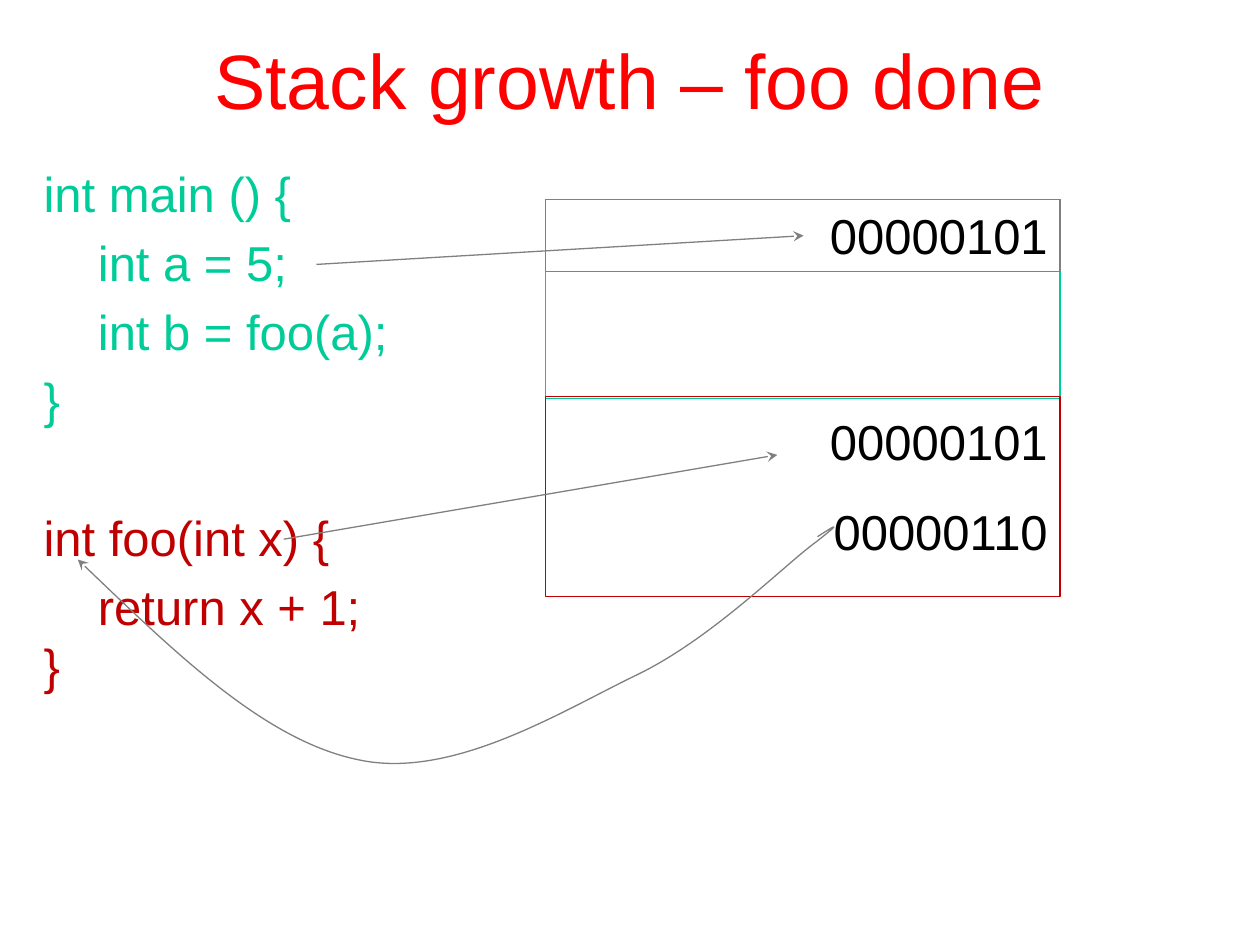
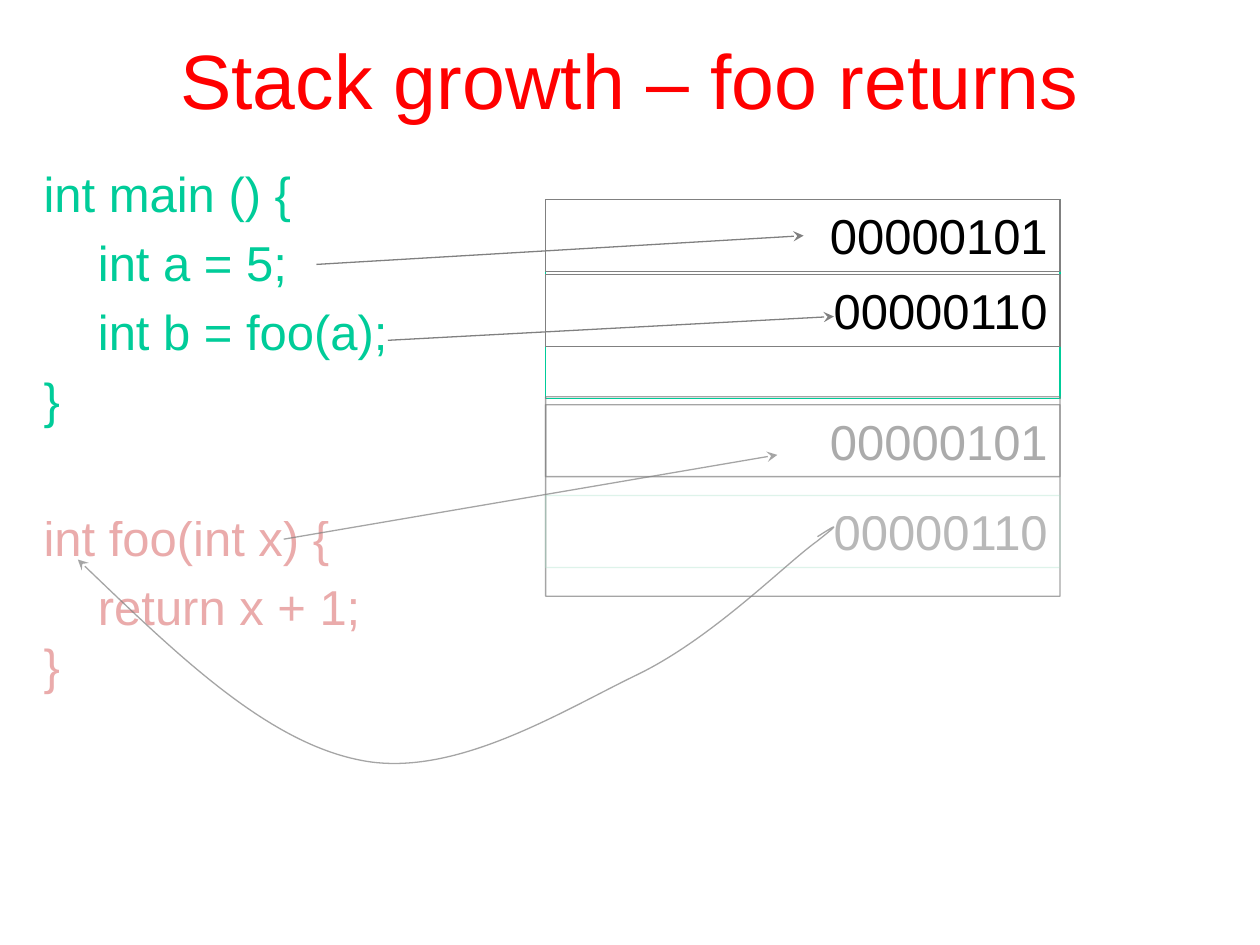
import pptx
import pptx.util
import pptx.dml.color
import pptx.enum.dml
import pptx.enum.shapes
import pptx.enum.text
import pptx.oxml
import pptx.oxml.ns

Cm, Pt = pptx.util.Cm, pptx.util.Pt
RGBColor = pptx.dml.color.RGBColor
Align = pptx.enum.text.PP_ALIGN
Anchor = pptx.enum.text.MSO_ANCHOR
qn = pptx.oxml.ns.qn

# Shared style
RED = RGBColor(0xFF, 0x00, 0x00)
GREEN = RGBColor(0x00, 0xCC, 0x99)
DARK_RED = RGBColor(0xC0, 0x00, 0x00)
GREY = RGBColor(0x80, 0x80, 0x80)
PALE_GREEN = RGBColor(0xAA, 0xE2, 0xCA)
BLACK = RGBColor(0x00, 0x00, 0x00)
FONT = "Arial"

# Stack geometry in centimetres
STACK_LEFT, STACK_WIDTH = 11, 10.37
MAIN_TOP, FOO_TOP, FRAME_HEIGHT = 4.02, 8, 4.02
CELL_HEIGHT = 1.45
A_TOP, B_TOP, X_TOP, RESULT_TOP = MAIN_TOP, 5.53, 8.16, 9.99

# Start point, then two controls and an end point per curve segment
RETURN_CURVE = [
    (1.57, 11.28),
    (3.48, 13.11), (5.36, 14.94), (7.24, 15.32),
    (9.12, 15.72), (11.3, 14.35), (12.83, 13.61),
    (14.35, 12.88), (15.82, 11.38), (16.46, 10.92),
    (17.07, 10.44), (16.76, 10.64), (16.48, 10.82),
]

MAIN_CODE = ["int main () {", "    int a = 5;", "    int b = foo(a);", "}"]
FOO_CODE = ["int foo(int x) {", "    return x + 1;", "}"]
LINE_GAP, FUNCTION_GAP = 5.6, 45


def set_opacity(color_parent, opacity):
    """Add an alpha value, in percent, to a solid colour."""
    if opacity < 100:
        color = next(color_parent.iter(qn("a:srgbClr")))
        alpha = pptx.oxml.parse_xml(
            f'<a:alpha {pptx.oxml.ns.nsdecls("a")} val="{opacity * 1000}"/>')
        color.append(alpha)


def write(para, text, *, size=28, color=BLACK, opacity=100,
          align=Align.LEFT, before=0, line=33.7):
    para.alignment = align
    para.space_before = Pt(before)
    if line:
        para.line_spacing = Pt(line)
    span = para.add_run()
    span.text = text
    span.font.name = FONT
    span.font.size = Pt(size)
    span.font.color.rgb = color
    set_opacity(span.font.fill._xPr, opacity)


class StackDeck:
    def __init__(self):
        self.deck = pptx.Presentation()
        self.deck.slide_width, self.deck.slide_height = Cm(25.4), Cm(19.05)
        self.page = None

    def add_page(self, title):
        self.page = self.deck.slides.add_slide(self.deck.slide_layouts[5])
        box = self.page.shapes.title
        box.left, box.top, box.width, box.height = Cm(1.9), Cm(0), Cm(21.6), Cm(3.17)
        box.text_frame.vertical_anchor = Anchor.MIDDLE
        write(box.text_frame.paragraphs[0], title, size=44, color=RED,
              align=Align.CENTER, line=None)

    def code(self, foo_opacity):
        box = self.page.shapes.add_textbox(Cm(0.63), Cm(3.17), Cm(11.87), Cm(14.18))
        frame = box.text_frame
        frame.word_wrap = True
        for index, text in enumerate(MAIN_CODE):
            para = frame.add_paragraph() if index else frame.paragraphs[0]
            write(para, text, color=GREEN, before=LINE_GAP if index else 0)
        for text, gap in zip(FOO_CODE, (FUNCTION_GAP, LINE_GAP, 0)):
            write(frame.add_paragraph(), text, color=DARK_RED,
                  opacity=foo_opacity, before=gap)

    def stroke(self, shape, color, opacity):
        shape.line.color.rgb = color
        shape.line.width = Pt(0.75)
        set_opacity(shape.line._ln, opacity)

    def frame(self, top, color, opacity=100, height=FRAME_HEIGHT):
        box = self.page.shapes.add_shape(
            pptx.enum.shapes.MSO_SHAPE.RECTANGLE,
            Cm(STACK_LEFT), Cm(top), Cm(STACK_WIDTH), Cm(height))
        box.shadow.inherit = False
        box.fill.background()
        if color is None:
            box.line.fill.background()
        else:
            self.stroke(box, color, opacity)
        return box

    def cell(self, top, bits, color=GREY, line_opacity=100, text_opacity=100):
        box = self.frame(top, color, line_opacity, CELL_HEIGHT)
        box.text_frame.vertical_anchor = Anchor.TOP
        box.text_frame.word_wrap = True
        write(box.text_frame.paragraphs[0], bits, align=Align.RIGHT,
              opacity=text_opacity)

    def arrowhead(self, shape, end):
        shape.line._ln.append(pptx.oxml.parse_xml(
            f'<a:{end} {pptx.oxml.ns.nsdecls("a")} type="stealth"/>'))

    def arrow(self, start, stop, opacity=100):
        line = self.page.shapes.add_connector(
            pptx.enum.shapes.MSO_CONNECTOR.STRAIGHT,
            *(Cm(value) for value in start + stop))
        self.stroke(line, GREY, opacity)
        self.arrowhead(line, "tailEnd")
        line._element.spPr.append(pptx.oxml.parse_xml(
            f'<a:effectLst {pptx.oxml.ns.nsdecls("a")}/>'))

    def curve(self, points, opacity):
        start, *rest = [(Cm(x), Cm(y)) for x, y in points]
        builder = self.page.shapes.build_freeform(*start)
        builder.add_line_segments(rest, close=False)
        shape = builder.convert_to_shape()
        # Turn every three line segments into one cubic segment
        segments = list(shape._element.iter(qn("a:lnTo")))
        for first in range(0, len(segments), 3):
            cubic = pptx.oxml.parse_xml(
                f'<a:cubicBezTo {pptx.oxml.ns.nsdecls("a")}/>')
            segments[first].addprevious(cubic)
            for segment in segments[first:first + 3]:
                cubic.append(segment[0])
                segment.getparent().remove(segment)
        shape.shadow.inherit = False
        shape.fill.background()
        self.stroke(shape, GREY, opacity)
        self.arrowhead(shape, "headEnd")

    def stack_page(self, title, returned):
        self.add_page(title)
        self.code(foo_opacity=33 if returned else 100)
        fade = 70 if returned else 100

        # Stack frames of main and foo
        self.frame(MAIN_TOP, GREEN)
        self.cell(A_TOP, "00000101")
        self.frame(FOO_TOP, GREY if returned else DARK_RED, fade)
        if returned:
            self.cell(X_TOP, "00000101", GREY, fade, 32)
            self.cell(RESULT_TOP, "00000110", PALE_GREEN, 39, 28)
        else:
            self.cell(X_TOP, "00000101", None)
            self.cell(RESULT_TOP, "00000110", None)

        # Links between code and stack
        self.arrow((6.38, 5.33), (16.2, 4.75))
        self.arrow((5.72, 10.87), (15.67, 9.17), fade)
        self.curve(RETURN_CURVE, fade)

        # Returned value stored in b
        if returned:
            self.cell(B_TOP, "00000110")
            self.arrow((7.82, 6.86), (16.81, 6.38))


def main():
    stack = StackDeck()
    stack.stack_page("Stack growth – foo done", returned=False)
    stack.stack_page("Stack growth – foo returns", returned=True)
    stack.deck.save("out.pptx")


if __name__ == "__main__":
    main()
